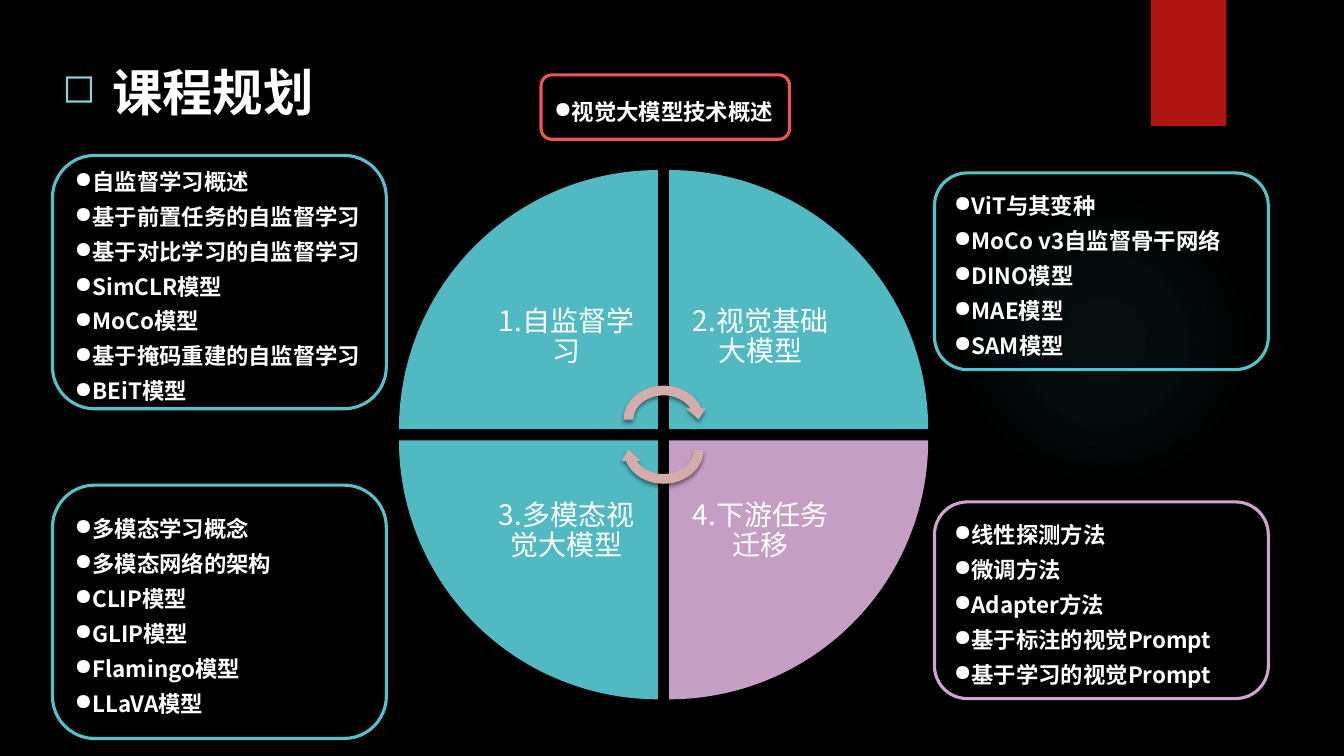
from dataclasses import dataclass

from lxml import etree
from pptx import Presentation
from pptx.dml.color import RGBColor
from pptx.enum import shapes, text
from pptx.oxml import ns
from pptx.util import Pt

KIND = shapes.MSO_SHAPE
ALIGN = text.PP_ALIGN
ANCHOR = text.MSO_ANCHOR


@dataclass(frozen=True)
class Theme:
    font: str = "Noto Sans CJK SC"
    back: str = "000000"
    white: str = "FFFFFF"
    teal: str = "50B9C1"
    mauve: str = "C59EC3"
    rose: str = "D4ACAB"
    flag: str = "B01513"
    edge: str = "54C1CB"
    pink: str = "CFA5CD"
    red: str = "ED5654"
    mark: str = "8AD0D6"
    title: int = 36
    label: int = 20
    body: int = 16


THEME = Theme()

# wedge kind of each quarter: column, row, turn, colour, label
PARTS = [
    (0, 0, 0, THEME.teal, "1.自监督学习"),
    (1, 0, 90, THEME.teal, "2.视觉基础大模型"),
    (1, 1, 180, THEME.mauve, "4.下游任务迁移"),
    (0, 1, 270, THEME.teal, "3.多模态视觉大模型"),
]

# left, top, width, height, edge colour, lines
CARDS = [
    (37.5, 111, 238.5, 181, THEME.edge,
     ["自监督学习概述", "基于前置任务的自监督学习", "基于对比学习的自监督学习",
      "SimCLR模型", "MoCo模型", "基于掩码重建的自监督学习", "BEiT模型"]),
    (667.5, 123.5, 238.5, 140.5, THEME.edge,
     ["ViT与其变种", "MoCo v3自监督骨干网络", "DINO模型", "MAE模型", "SAM模型"]),
    (37.5, 346.5, 238.5, 181, THEME.edge,
     ["多模态学习概念", "多模态网络的架构", "CLIP模型", "GLIP模型",
      "Flamingo模型", "LLaVA模型"]),
    (667.5, 358.5, 238.5, 140.5, THEME.pink,
     ["线性探测方法", "微调方法", "Adapter方法", "基于标注的视觉Prompt",
      "基于学习的视觉Prompt"]),
    (386.5, 53.5, 177.5, 46, THEME.red, ["视觉大模型技术概述"]),
]


def add_xml(parent, tag, **attrs):
    node = etree.SubElement(parent, ns.qn(tag))
    for key, val in attrs.items():
        node.set(key, str(val))
    return node


def set_bullet(para, char, color=None, size=None, indent=0):
    props = para._p.get_or_add_pPr()
    props.set("marL", str(Pt(indent)))
    props.set("indent", str(-Pt(indent)))
    if color:
        add_xml(add_xml(props, "a:buClr"), "a:srgbClr", val=color)
    if size:
        add_xml(props, "a:buSzPct", val=size * 1000)
    add_xml(props, "a:buChar", char=char)


def write(shape, lines, size, bold=False, align=ALIGN.LEFT, anchor=ANCHOR.MIDDLE,
          space=1.0, inset=None, bullet=None):
    """Fill the shape with one paragraph per line; bullet holds set_bullet options."""
    frame = shape.text_frame
    frame.word_wrap = True
    frame.vertical_anchor = anchor
    if inset is not None:
        frame.margin_left = frame.margin_right = Pt(inset)
        frame.margin_top = frame.margin_bottom = Pt(inset)
    for num, line in enumerate(lines):
        para = frame.add_paragraph() if num else frame.paragraphs[0]
        if bullet:
            set_bullet(para, **bullet)
        para.alignment = align
        para.line_spacing = space
        run = para.add_run()
        run.text = line
        font = run.font
        font.name, font.size, font.bold = THEME.font, Pt(size), bold
        font.color.rgb = RGBColor.from_string(THEME.white)
        add_xml(font._element, "a:ea", typeface=THEME.font)


def add_shape(slide, kind, left, top, width, height, fill=None, line=None, turn=0):
    shape = slide.shapes.add_shape(kind, Pt(left), Pt(top), Pt(width), Pt(height))
    shape.shadow.inherit = False
    shape.rotation = turn
    if fill:
        shape.fill.solid()
        shape.fill.fore_color.rgb = RGBColor.from_string(fill)
    else:
        shape.fill.background()
    if line:
        shape.line.color.rgb = RGBColor.from_string(line)
        shape.line.width = Pt(2.25)
    else:
        shape.line.fill.background()
    return shape


def add_text(slide, left, top, width, height, lines, **style):
    box = slide.shapes.add_textbox(Pt(left), Pt(top), Pt(width), Pt(height))
    write(box, lines, **style)


def cast_shadow(shape):
    effects = shape._element.spPr.find(ns.qn("a:effectLst"))
    outer = add_xml(effects, "a:outerShdw", blurRad=Pt(3), dist=Pt(2),
                    dir=5400000, rotWithShape=0)
    add_xml(add_xml(outer, "a:srgbClr", val="000000"), "a:alpha", val=45000)


def add_glow(slide):
    """Draw a faint disc that fades out from its centre."""
    disc = add_shape(slide, KIND.OVAL, 677.5, 132, 222, 222)
    props = disc._element.spPr
    grad = etree.Element(ns.qn("a:gradFill"))
    stops = add_xml(grad, "a:gsLst")
    for place, alpha in [(0, 7), (36, 6), (69, 0)]:
        stop = add_xml(stops, "a:gs", pos=place * 1000)
        color = add_xml(stop, "a:srgbClr", val=THEME.teal)
        add_xml(color, "a:alpha", val=alpha * 1000)
    focus = add_xml(grad, "a:path", path="circle")
    add_xml(focus, "a:fillToRect", l=50000, t=50000, r=50000, b=50000)
    props.replace(props.find(ns.qn("a:noFill")), grad)


def add_wheel(slide):
    left, top, size, step, label = 285, 121.5, 185, 193, 130.5
    for col, row, turn, color, name in PARTS:
        x, y = left + col * step, top + row * step
        wedge = add_shape(slide, KIND.PIE_WEDGE, x, y, size, size, color, turn=turn)
        cast_shadow(wedge)
        inner = size - label
        add_text(slide, x + (1 - col) * inner, y + (1 - row) * inner, label, label,
                 [name], size=THEME.label, align=ALIGN.CENTER, space=0.9, inset=11.5)
    for num in range(2):
        arrow = add_shape(slide, KIND.CIRCULAR_ARROW, 442, 272 + num * 21.5, 64, 55.5,
                          THEME.rose, turn=num * 180)
        cast_shadow(arrow)


def add_card(slide, left, top, width, height, edge, lines):
    card = add_shape(slide, KIND.ROUNDED_RECTANGLE, left, top, width, height, line=edge)
    write(card, lines, THEME.body, bold=True, space=1.3, bullet={"char": "●"})


def main():
    deck = Presentation()
    deck.slide_width, deck.slide_height = Pt(960), Pt(540)
    slide = deck.slides.add_slide(deck.slide_layouts[6])
    slide.background.fill.solid()
    slide.background.fill.fore_color.rgb = RGBColor.from_string(THEME.back)

    add_glow(slide)
    cast_shadow(add_shape(slide, KIND.RECTANGLE, 822, 0, 54, 90, THEME.flag))
    add_wheel(slide)
    add_text(slide, 37.5, 40, 300, 60, ["课程规划"], size=THEME.title, bold=True,
             anchor=ANCHOR.TOP,
             bullet={"char": "◻", "color": THEME.mark, "size": 80, "indent": 35.5})
    for card in CARDS:
        add_card(slide, *card)
    deck.save("out.pptx")


if __name__ == "__main__":
    main()
